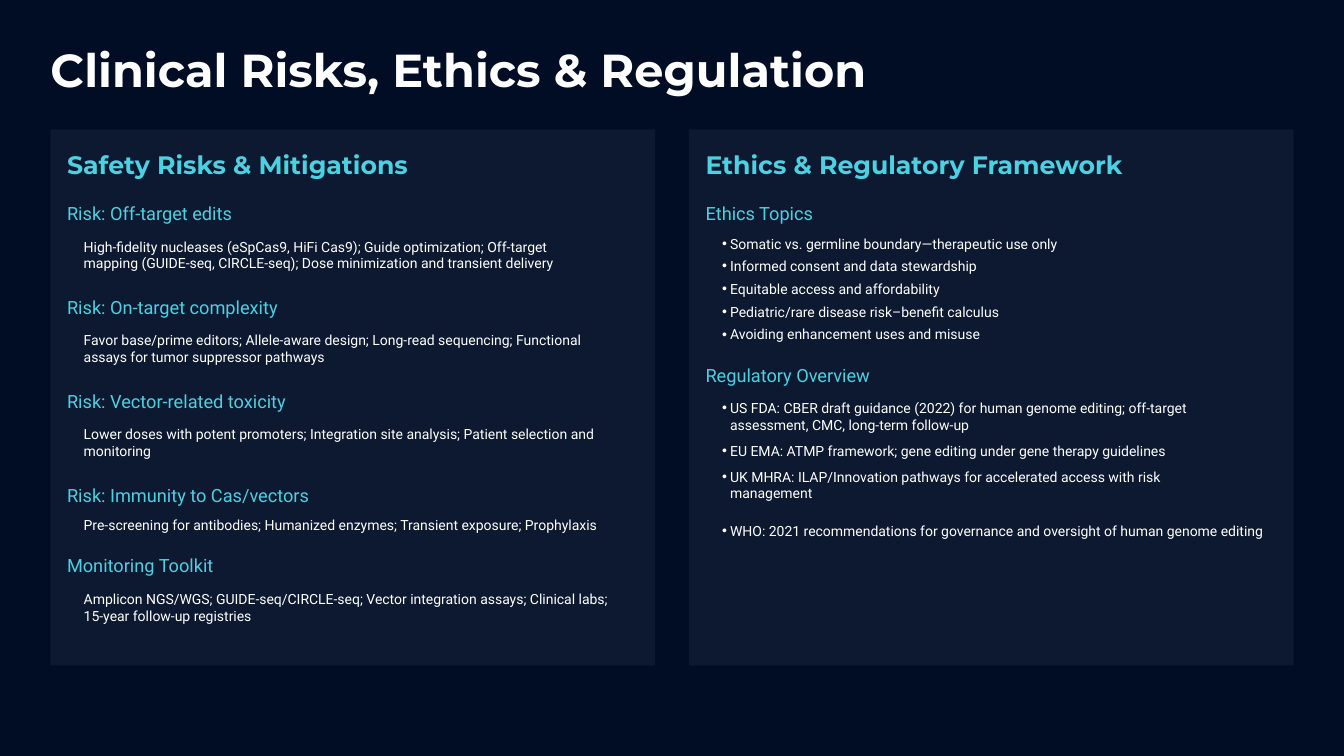
from lxml import etree
from pptx import Presentation
from pptx.dml import color
from pptx.enum import shapes, text
from pptx.oxml import ns
from pptx.util import Cm, Pt

COLORS = {"night": "010D25", "white": "FFFFFF", "cyan": "4DD0E1"}

# Each topic lists its details; \v marks where a detail breaks into a second line
RISKS = [
    ("Risk: Off-target edits", [
        "High-fidelity nucleases (eSpCas9, HiFi Cas9); Guide optimization; Off-target\v"
        "mapping (GUIDE-seq, CIRCLE-seq); Dose minimization and transient delivery"]),
    ("Risk: On-target complexity", [
        "Favor base/prime editors; Allele-aware design; Long-read sequencing; Functional\v"
        "assays for tumor suppressor pathways"]),
    ("Risk: Vector-related toxicity", [
        "Lower doses with potent promoters; Integration site analysis; Patient selection and\v"
        "monitoring"]),
    ("Risk: Immunity to Cas/vectors", [
        "Pre-screening for antibodies; Humanized enzymes; Transient exposure; Prophylaxis"]),
    ("Monitoring Toolkit", [
        "Amplicon NGS/WGS; GUIDE-seq/CIRCLE-seq; Vector integration assays; Clinical labs;\v"
        "15-year follow-up registries"]),
]
FRAMEWORK = [
    ("Ethics Topics", [
        "Somatic vs. germline boundary—therapeutic use only",
        "Informed consent and data stewardship",
        "Equitable access and affordability",
        "Pediatric/rare disease risk–benefit calculus",
        "Avoiding enhancement uses and misuse"]),
    ("Regulatory Overview", [
        "US FDA: CBER draft guidance (2022) for human genome editing; off-target\v"
        "assessment, CMC, long-term follow-up",
        "EU EMA: ATMP framework; gene editing under gene therapy guidelines",
        "UK MHRA: ILAP/Innovation pathways for accelerated access with risk\v"
        "management",
        "WHO: 2021 recommendations for governance and oversight of human genome editing"]),
]
# Left edge, heading, topics, bulleted?
COLUMNS = [
    (1.27, "Safety Risks & Mitigations", RISKS, False),
    (17.36, "Ethics & Regulatory Framework", FRAMEWORK, True),
]


def place(holder, left, top, width, height, anchor):
    holder.left, holder.top, holder.width, holder.height = map(Cm, (left, top, width, height))
    frame = holder.text_frame
    frame.margin_left = frame.margin_right = frame.margin_top = frame.margin_bottom = 0
    frame.word_wrap = True
    frame.auto_size = text.MSO_AUTO_SIZE.NONE
    frame.vertical_anchor = anchor
    return frame


def write(paragraph, words, face, size, tint, bold=False):
    paragraph.text = words
    paragraph.alignment = text.PP_ALIGN.LEFT
    font = paragraph.font
    font.name, font.size, font.bold = face, Pt(size), bold
    font.color.rgb = color.RGBColor.from_string(COLORS[tint])


deck = Presentation()
deck.slide_width, deck.slide_height = Cm(33.87), Cm(19.05)
slide = deck.slides.add_slide(deck.slide_layouts.get_by_name("Comparison"))
slide.background.fill.solid()
slide.background.fill.fore_color.rgb = color.RGBColor.from_string(COLORS["night"])
title, *column_holders = slide.placeholders

# Title
title_frame = place(title, 1.27, 1.02, 31.3, 1.42, text.MSO_ANCHOR.MIDDLE)
write(title_frame.paragraphs[0], "Clinical Risks, Ethics & Regulation", "Montserrat", 33, "white", True)

for column, (left, heading, topics, bulleted) in enumerate(COLUMNS):
    # Translucent card, kept behind the text
    card = slide.shapes.add_shape(
        shapes.MSO_SHAPE.ROUNDED_RECTANGLE, Cm(left), Cm(3.26), Cm(15.24), Cm(13.51))
    card.adjustments[0] = 0.003
    card.shadow.inherit = False
    card.line.fill.background()
    card.fill.solid()
    card.fill.fore_color.rgb = color.RGBColor.from_string(COLORS["white"])
    tint = card._element.spPr.find(".//" + ns.qn("a:srgbClr"))
    etree.SubElement(tint, ns.qn("a:alpha"), val="5000")
    slide.shapes._spTree.insert(2, card._element)

    # Column heading
    heading_holder, list_holder = column_holders[2 * column:2 * column + 2]
    heading_frame = place(heading_holder, left + 0.42, 3.76, 14.4, 0.76, text.MSO_ANCHOR.MIDDLE)
    write(heading_frame.paragraphs[0], heading, "Montserrat", 18, "cyan", True)
    heading_frame.paragraphs[0].space_before = Pt(0)

    # Topics with their details
    body = place(list_holder, left + 0.42, 5.13, 14.6, 11.4, text.MSO_ANCHOR.TOP)
    for number, (topic, details) in enumerate(topics):
        line = body.add_paragraph() if number else body.paragraphs[0]
        props = line._p.get_or_add_pPr()
        props.set("marL", "0")
        props.set("indent", "0")
        etree.SubElement(props, ns.qn("a:buNone"))
        write(line, topic, "Roboto", 13, "cyan")
        line.line_spacing = Pt(15)
        line.space_before = Pt(15.5 if number else 0)
        line.space_after = Pt(7)

        for position, detail in enumerate(details):
            line = body.add_paragraph()
            line.level = 1
            props = line._p.get_or_add_pPr()
            hang = 0.2 if bulleted else 0
            props.set("marL", str(Cm(0.42 + hang)))
            props.set("indent", str(-Cm(hang)))
            if bulleted:
                etree.SubElement(props, ns.qn("a:buChar"), char="•")
            else:
                etree.SubElement(props, ns.qn("a:buNone"))
            write(line, detail, "Roboto", 10, "white")
            # Two-line details and the closing WHO entry get more air
            air = 2.75 if "\v" in detail else 8.75 if detail.startswith("WHO") else 0.5
            line.line_spacing = Pt(12)
            line.space_before = Pt(air + (3.2 if position else 0))
            line.space_after = Pt(air)

deck.save("out.pptx")
